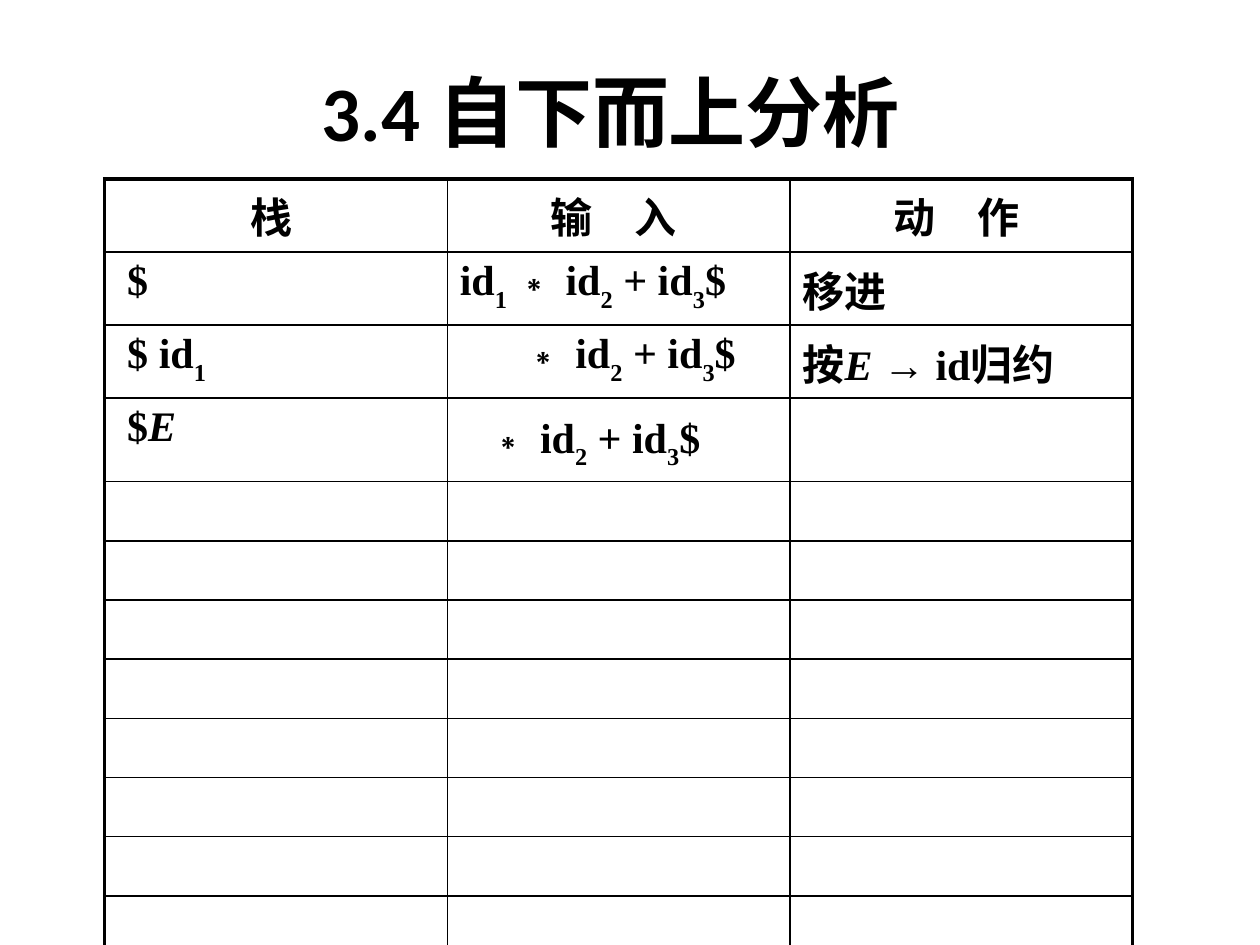
import pptx
import pptx.dml.color
import pptx.enum.text
import pptx.oxml.ns
import pptx.util
from lxml import etree

Inches = pptx.util.Inches
Pt = pptx.util.Pt
ALIGN = pptx.enum.text.PP_ALIGN
ANCHOR = pptx.enum.text.MSO_ANCHOR
qn = pptx.oxml.ns.qn

BLACK = pptx.dml.color.RGBColor(0x00, 0x00, 0x00)
TITLE_FONT = "Calibri"
CHINESE = "Noto Sans CJK SC"
LATIN = "Times New Roman"
THIN, THICK = 1, 2.25

# A run is its text, then its format where it differs from the cell's.
SUB = {"baseline": -30}
CJK = {"font": CHINESE}
ITALIC = {"italic": True}
TITLE = [("3.4 ", {"font": TITLE_FONT}), ("自下而上分析 ", CJK)]
HEADINGS = ["栈 ", "输　入 ", "动　作 "]
REST_OF_INPUT = [("∗ id",), ("2", SUB), (" + id",), ("3", SUB), ("$",)]
STEPS = [
    ([("$",)],
     [("id",), ("1 ", SUB)] + REST_OF_INPUT,
     [("移进", CJK)]),
    ([("$ id",), ("1", SUB)],
     REST_OF_INPUT,
     [("按", CJK), ("E ", ITALIC), ("→ id",), ("归约", CJK)]),
    ([("$",), ("E", ITALIC)],
     REST_OF_INPUT,
     []),
]
EMPTY_ROWS = 8

TABLE_LEFT, TABLE_TOP = 0.83, 1.42
COLUMN_WIDTH = 2.72
ROW_HEIGHTS = [0.58, 0.58, 0.58, 0.63] + [0.47] * EMPTY_ROWS
STACK_INDENT = 0.08
INPUT_INDENTS = [0, 0.5, 0.22]
INPUT_DROPS = [0, 0, 0.09]


def add_text(paragraph, text, font=LATIN, size=24, bold=True, italic=False, baseline=0):
    run = paragraph.add_run()
    run.text = text
    run.font.name = font
    run.font.size = Pt(size)
    run.font.bold = bold
    run.font.italic = italic
    run.font.color.rgb = BLACK
    properties = run.font._element
    etree.SubElement(properties, qn("a:ea"), typeface=font)
    if baseline:
        properties.set("baseline", str(baseline * 1000))


def add_runs(paragraph, runs, **common):
    for text, *formats in runs:
        add_text(paragraph, text, **common, **(formats[0] if formats else {}))


def set_borders(cell, widths):
    """Draw the cell's borders; widths maps L, R, T and B to points."""
    properties = cell._tc.get_or_add_tcPr()
    for side in "LRTB":
        line = etree.SubElement(properties, qn(f"a:ln{side}"), w=str(Pt(widths[side])))
        fill = etree.SubElement(line, qn("a:solidFill"))
        etree.SubElement(fill, qn("a:srgbClr"), val=str(BLACK))
    cell.fill.background()


def add_title(slide):
    box = slide.shapes.add_textbox(Inches(0.67), Inches(0.25), Inches(8.5), Inches(1.25))
    frame = box.text_frame
    frame.word_wrap = True
    frame.vertical_anchor = ANCHOR.MIDDLE
    frame.paragraphs[0].alignment = ALIGN.CENTER
    add_runs(frame.paragraphs[0], TITLE, size=44)


def add_grid(slide):
    row_count, column_count = len(ROW_HEIGHTS), len(HEADINGS)
    table = slide.shapes.add_table(
        row_count, column_count, Inches(TABLE_LEFT), Inches(TABLE_TOP),
        Inches(COLUMN_WIDTH * column_count), Inches(sum(ROW_HEIGHTS))).table
    table.first_row = table.horz_banding = False
    for column in table.columns:
        column.width = Inches(COLUMN_WIDTH)
    for r, height in enumerate(ROW_HEIGHTS):
        table.rows[r].height = Inches(height)
        for c in range(column_count):
            set_borders(table.cell(r, c), {
                "L": THICK if c == 0 else THIN,
                "R": THICK if c == column_count - 1 else THIN,
                "T": THICK if r == 0 else THIN,
                "B": THICK if r == row_count - 1 else THIN,
            })
    return table


def fill_table(table):
    for c, heading in enumerate(HEADINGS):
        paragraph = table.cell(0, c).text_frame.paragraphs[0]
        paragraph.alignment = ALIGN.CENTER
        add_text(paragraph, heading, font=CHINESE)
    for r, step in enumerate(STEPS):
        indents = [STACK_INDENT, INPUT_INDENTS[r], 0]
        drops = [0, INPUT_DROPS[r], 0]
        for c, runs in enumerate(step):
            cell = table.cell(r + 1, c)
            cell.margin_left = Inches(0.1 + indents[c])
            cell.margin_top = Inches(0.05 + drops[c])
            add_runs(cell.text_frame.paragraphs[0], runs)


def main():
    presentation = pptx.Presentation()
    presentation.slide_width = Inches(10)
    presentation.slide_height = Inches(7.5)
    slide = presentation.slides.add_slide(presentation.slide_layouts[6])
    add_title(slide)
    fill_table(add_grid(slide))
    presentation.save("out.pptx")


if __name__ == "__main__":
    main()
